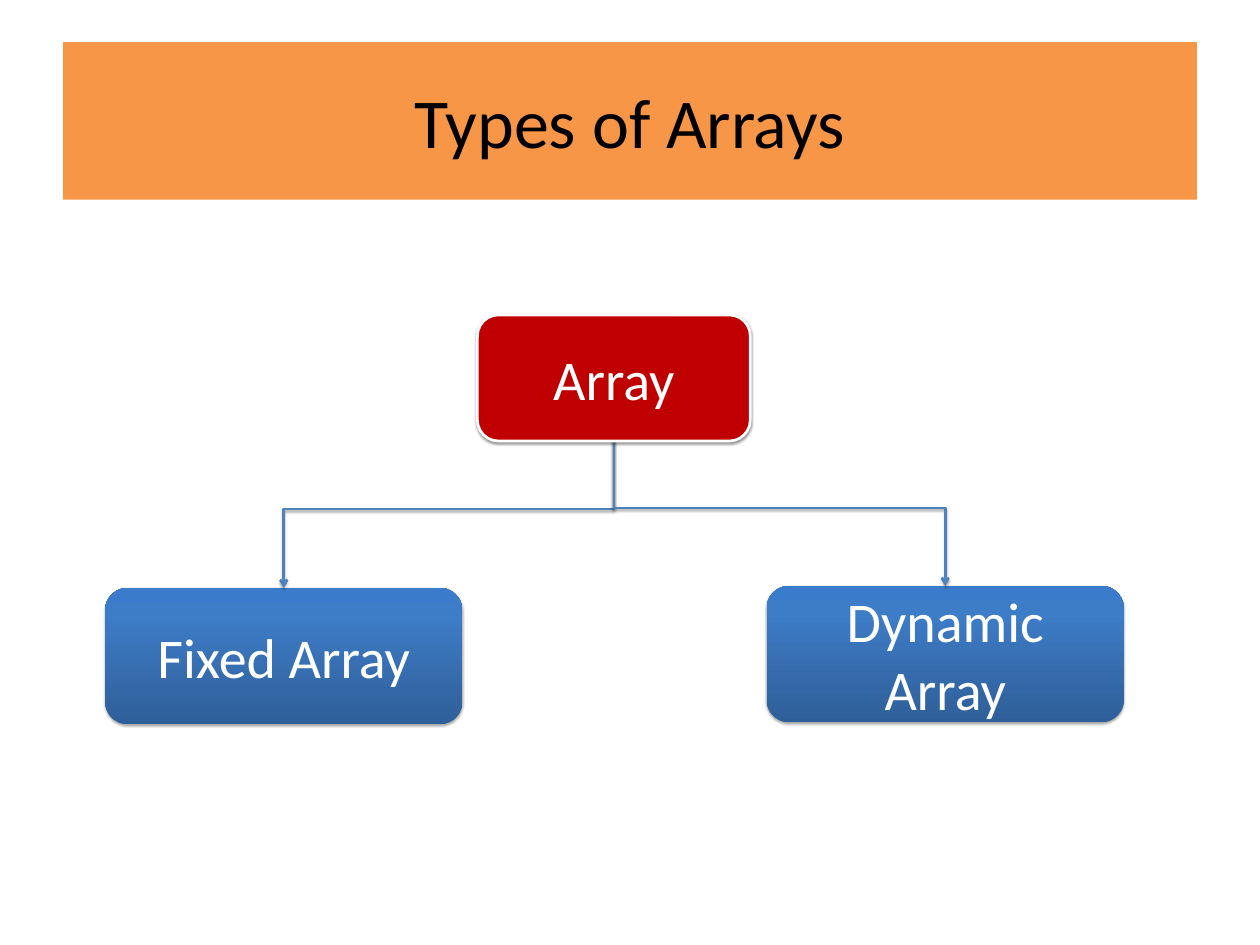
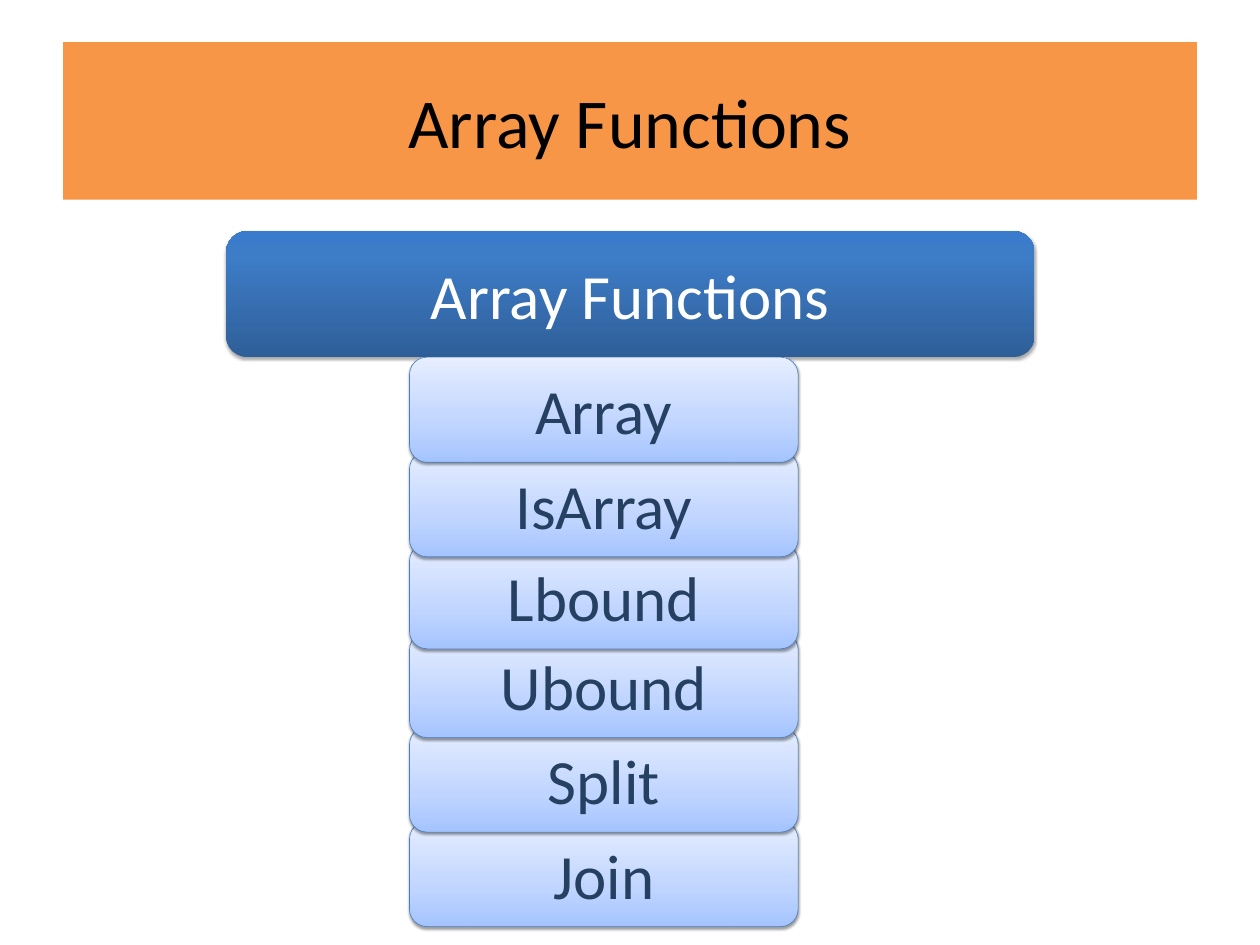
from dataclasses import dataclass

from lxml.etree import SubElement
from pptx import Presentation
from pptx.dml.color import RGBColor
from pptx.enum.shapes import MSO_CONNECTOR as Link, MSO_SHAPE as Preset
from pptx.enum.text import MSO_ANCHOR as Anchor, MSO_AUTO_SIZE as AutoSize, PP_ALIGN as Align
from pptx.oxml.ns import qn
from pptx.shapes.autoshape import Shape
from pptx.slide import Slide
from pptx.util import Cm, Pt

FONT = "Calibri"
COLORS = {
    "title_band": "F79646",
    "black": "000000",
    "white": "FFFFFF",
    "root": "C00000",
    "link": "4F81BD",
    "function_edge": "4B7EBC",
    "function_text": "254061",
    "blue_dark": "2F5F99",
    "blue_mid": "3D7CC7",
    "blue_light": "3A7CCB",
    "pale_dark": "A4C4FF",
    "pale_mid": "BFD4FF",
    "pale_light": "E6EEFF",
}


@dataclass(frozen=True)
class Shadow:
    opacity: int
    distance: float
    blur: float = 3.1


STRONG_SHADOW = Shadow(opacity=35, distance=1.8)
SOFT_SHADOW = Shadow(opacity=38, distance=1.6)


@dataclass(frozen=True)
class BoxStyle:
    """Fill is one (position, colour) stop for plain, several for a gradient."""
    fill: tuple[tuple[int, str], ...]
    text_color: str
    size: int
    shadow: Shadow
    edge: str | None = None
    edge_width: float = 0


@dataclass(frozen=True)
class Box:
    text: str
    left: float
    top: float
    width: float
    height: float

    @property
    def center(self) -> float:
        return self.left + self.width / 2


BLUE = ((0, "blue_dark"), (80, "blue_mid"), (100, "blue_light"))
PALE = ((0, "pale_dark"), (35, "pale_mid"), (100, "pale_light"))

ROOT_STYLE = BoxStyle(((0, "root"),), "white", 64, SOFT_SHADOW, "white", 3)
KIND_STYLE = BoxStyle(BLUE, "white", 64, STRONG_SHADOW)
HEADING_STYLE = BoxStyle(BLUE, "white", 72, STRONG_SHADOW)
FUNCTION_STYLE = BoxStyle(PALE, "function_text", 72, SOFT_SHADOW, "function_edge", 0.75)

ARRAY = Box("Array", 19.25, 12.7, 11, 5.08)
ARRAY_KINDS = (
    Box("Fixed Array", 4.24, 23.7, 14.4, 5.51),
    Box("Dynamic Array", 30.91, 23.62, 14.4, 5.51),
)
LINK_TOP = 17.35
HEADING = Box("Array Functions", 9.12, 9.32, 32.59, 5.08)
FUNCTION_TOPS = {
    "Array": 14.4,
    "IsArray": 18.21,
    "Lbound": 21.92,
    "Ubound": 25.5,
    "Split": 29.31,
    "Join": 33.12,
}


def rgb(name: str) -> RGBColor:
    return RGBColor.from_string(COLORS[name])


def write_text(shape: Shape, text: str, *, size: int, color: str) -> None:
    frame = shape.text_frame
    frame.word_wrap = True
    frame.auto_size = AutoSize.NONE
    frame.vertical_anchor = Anchor.MIDDLE
    frame.margin_left = frame.margin_right = Cm(0.51)
    frame.margin_top = frame.margin_bottom = Cm(0.25)
    paragraph = frame.paragraphs[0]
    paragraph.alignment = Align.CENTER
    run = paragraph.add_run()
    run.text = text
    run.font.name = FONT
    run.font.size = Pt(size)
    run.font.color.rgb = rgb(color)


def fill_gradient(shape: Shape, stops: tuple[tuple[int, str], ...]) -> None:
    shape.fill.gradient()
    shape.fill.gradient_angle = 90
    stop_list = shape._element.spPr.find(".//" + qn("a:gsLst"))
    for default_stop in list(stop_list):
        stop_list.remove(default_stop)
    for position, color in stops:
        stop = SubElement(stop_list, qn("a:gs"), pos=str(position * 1000))
        SubElement(stop, qn("a:srgbClr"), val=COLORS[color])


def add_shadow(effects, shadow: Shadow) -> None:
    """Put a downward shadow into an empty a:effectLst."""
    outer = SubElement(
        effects, qn("a:outerShdw"), blurRad=str(int(Pt(shadow.blur))),
        dist=str(int(Pt(shadow.distance))), dir="5400000", rotWithShape="0")
    color = SubElement(outer, qn("a:srgbClr"), val=COLORS["black"])
    SubElement(color, qn("a:alpha"), val=str(shadow.opacity * 1000))


def add_box(slide: Slide, box: Box, style: BoxStyle) -> Shape:
    shape = slide.shapes.add_shape(
        Preset.ROUNDED_RECTANGLE,
        Cm(box.left), Cm(box.top), Cm(box.width), Cm(box.height))
    if len(style.fill) > 1:
        fill_gradient(shape, style.fill)
    else:
        shape.fill.solid()
        shape.fill.fore_color.rgb = rgb(style.fill[0][1])
    if style.edge:
        shape.line.color.rgb = rgb(style.edge)
        shape.line.width = Pt(style.edge_width)
    else:
        shape.line.fill.background()
    shape.shadow.inherit = False
    add_shadow(shape._element.spPr.find(qn("a:effectLst")), style.shadow)
    write_text(shape, box.text, size=style.size, color=style.text_color)
    return shape


def add_branch(slide: Slide, parent: Box, child: Box, child_shape: Shape) -> None:
    """Draw an elbow arrow that leaves the parent downwards and enters the child's top."""
    branch = slide.shapes.add_connector(
        Link.ELBOW, Cm(parent.center), Cm(LINK_TOP), Cm(child.center), Cm(child.top))
    branch.end_connect(child_shape, 0)

    # A quarter turn makes the first and last legs vertical.
    drop = child.top - LINK_TOP
    reach = abs(child.center - parent.center)
    branch.left = Cm((parent.center + child.center - drop) / 2)
    branch.top = Cm((LINK_TOP + child.top - reach) / 2)
    branch.width, branch.height = Cm(drop), Cm(reach)
    to_right = child.center > parent.center
    properties = branch._element.spPr
    frame = properties.find(qn("a:xfrm"))
    frame.set("rot", "16200000" if to_right else "5400000")
    frame.set("flipH", "1" if to_right else "0")
    frame.set("flipV", "0")

    branch.line.color.rgb = rgb("link")
    branch.line.width = Pt(3)
    SubElement(properties.find(qn("a:ln")), qn("a:tailEnd"), type="arrow")
    add_shadow(SubElement(properties, qn("a:effectLst")), STRONG_SHADOW)


def add_titled_slide(deck, title: str) -> Slide:
    slide = deck.slides.add_slide(deck.slide_layouts[5])
    band = slide.shapes.title
    band.left, band.top, band.width, band.height = Cm(2.54), Cm(1.7), Cm(45.72), Cm(6.35)
    outline = SubElement(band._element.spPr, qn("a:prstGeom"), prst="roundRect")
    SubElement(outline, qn("a:avLst"))
    band.fill.solid()
    band.fill.fore_color.rgb = rgb("title_band")
    write_text(band, title, size=80, color="black")
    return slide


def build_types(deck) -> None:
    slide = add_titled_slide(deck, "Types of Arrays")
    kind_shapes = [add_box(slide, kind, KIND_STYLE) for kind in ARRAY_KINDS]
    for kind, kind_shape in zip(ARRAY_KINDS, kind_shapes):
        add_branch(slide, ARRAY, kind, kind_shape)
    add_box(slide, ARRAY, ROOT_STYLE)


def build_functions(deck) -> None:
    slide = add_titled_slide(deck, "Array Functions")
    add_box(slide, HEADING, HEADING_STYLE)
    # Each box overlaps the one below it, so the lowest comes first.
    for name, top in reversed(FUNCTION_TOPS.items()):
        add_box(slide, Box(name, 16.51, top, 15.67, 4.24), FUNCTION_STYLE)


def main() -> None:
    deck = Presentation()
    deck.slide_width, deck.slide_height = Cm(50.8), Cm(38.1)
    build_types(deck)
    build_functions(deck)
    deck.save("out.pptx")


if __name__ == "__main__":
    main()
